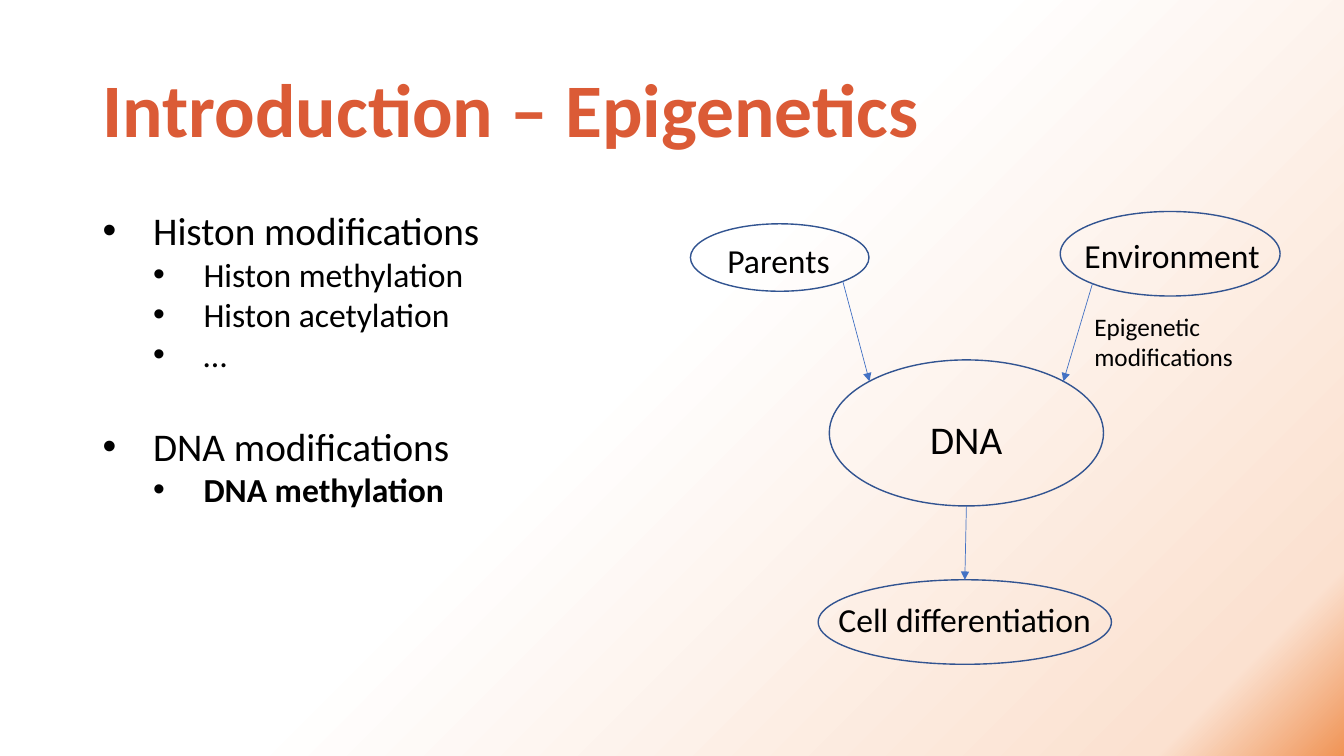
from typing import NamedTuple
from math import cos, pi, sin

from lxml import etree
from pptx import Presentation
from pptx.dml.color import RGBColor
from pptx.enum.shapes import MSO_CONNECTOR, MSO_SHAPE
from pptx.enum.text import MSO_ANCHOR, PP_ALIGN
from pptx.oxml import parse_xml
from pptx.oxml.ns import nsdecls, qn
from pptx.util import Cm, Pt

OVAL = MSO_SHAPE.OVAL
STRAIGHT = MSO_CONNECTOR.STRAIGHT
TOP, MIDDLE = MSO_ANCHOR.TOP, MSO_ANCHOR.MIDDLE
LEFT, CENTER = PP_ALIGN.LEFT, PP_ALIGN.CENTER

BLACK = RGBColor(0x00, 0x00, 0x00)
RUST = RGBColor(0xDB, 0x5B, 0x36)
NAVY = RGBColor(0x32, 0x54, 0x91)
BLUE = RGBColor(0x44, 0x72, 0xC4)
WHITE = RGBColor(0xFF, 0xFF, 0xFF)
PEACH = RGBColor(0xFB, 0xE1, 0xD0)
ORANGE = RGBColor(0xF0, 0x94, 0x56)

FONT = "Calibri"
INDENT = 1.27


class Box(NamedTuple):
    x: float
    y: float
    w: float
    h: float


class Stop(NamedTuple):
    pos: int
    color: RGBColor
    alpha: int = 100


class Item(NamedTuple):
    text: str
    level: int = 0
    bold: bool = False
    before: int = 0


class Node(NamedTuple):
    name: str
    oval: Box
    label: Box
    size: int = 24
    align: PP_ALIGN = LEFT
    anchor: MSO_ANCHOR = TOP
    wrap: bool = True
    lines: float = 1.0


class Link(NamedTuple):
    start: str
    exit: int
    end: str
    entry: int


STOPS = [Stop(34, WHITE), Stop(47, WHITE, 21), Stop(91, PEACH), Stop(100, ORANGE)]

ITEMS = [
    Item("Histon modifications"),
    Item("Histon methylation", 1),
    Item("Histon acetylation", 1),
    Item("…", 1),
    Item("DNA modifications", before=34),
    Item("DNA methylation", 1, bold=True),
]

NODES = [
    Node("Parents", Box(17.4, 5.64, 4.5, 1.7), Box(18.08, 5.92, 3.35, 1.27)),
    Node("Environment", Box(26.72, 5.33, 5.54, 2.13),
         Box(27.08, 5.79, 4.98, 1.27), wrap=False),
    Node("DNA", Box(20.9, 9.07, 6.91, 3.68), Box(17.15, 5.08, 14.4, 12.09),
         size=28, align=CENTER, anchor=MIDDLE, lines=0.9),
    Node("Cell differentiation", Box(20.62, 14.61, 7.39, 2.13),
         Box(20.88, 14.96, 7.14, 1.27)),
]

# Oval sites run counter-clockwise from the top in steps of 45 degrees
LINKS = [
    Link("Parents", 5, "DNA", 1),
    Link("Environment", 3, "DNA", 7),
    Link("DNA", 4, "Cell differentiation", 0),
]


def add_back(slide) -> None:
    stops = "".join(
        f'<a:gs pos="{s.pos * 1000}"><a:srgbClr val="{s.color}">'
        f'<a:alpha val="{s.alpha * 1000}"/></a:srgbClr></a:gs>'
        for s in STOPS
    )
    back = parse_xml(
        f'<p:bg {nsdecls("p", "a")}><p:bgPr><a:gradFill rotWithShape="1">'
        f'<a:gsLst>{stops}</a:gsLst><a:path path="circle">'
        '<a:fillToRect r="100000" b="100000"/></a:path></a:gradFill>'
        '<a:effectLst/></p:bgPr></p:bg>'
    )
    slide.element.cSld.insert(0, back)


def add_frame(slide, box: Box, anchor: MSO_ANCHOR = TOP, wrap: bool = True):
    frame = slide.shapes.add_textbox(*map(Cm, box)).text_frame
    frame.word_wrap = wrap
    frame.vertical_anchor = anchor
    return frame


def put_text(par, text: str, *, size: int, color: RGBColor = BLACK,
             bold: bool = False, align: PP_ALIGN = LEFT,
             lines: float = 1.0) -> None:
    par.alignment = align
    par.line_spacing = lines
    run = par.add_run()
    run.text = text
    font = run.font
    font.name, font.size, font.bold = FONT, Pt(size), bold
    font.color.rgb = color


def add_list(slide, box: Box) -> None:
    frame = add_frame(slide, box)
    for i, item in enumerate(ITEMS):
        par = frame.add_paragraph() if i else frame.paragraphs[0]
        par.level = item.level
        props = par._p.get_or_add_pPr()
        props.set("marL", str(Cm(INDENT * (item.level + 1))))
        props.set("indent", str(-Cm(INDENT)))
        etree.SubElement(props, qn("a:buFont")).set("typeface", "Arial")
        etree.SubElement(props, qn("a:buChar")).set("char", "•")
        if item.before:
            par.space_before = Pt(item.before)
        put_text(par, item.text, size=24 if item.level else 28, bold=item.bold)


def add_node(slide, node: Node):
    oval = slide.shapes.add_shape(OVAL, *map(Cm, node.oval))
    oval.shadow.inherit = False
    oval.fill.background()
    oval.line.color.rgb = NAVY
    oval.line.width = Pt(1)
    frame = add_frame(slide, node.label, node.anchor, node.wrap)
    put_text(frame.paragraphs[0], node.name, size=node.size,
             align=node.align, lines=node.lines)
    return oval


def site(oval, index: int) -> tuple[int, int]:
    turn = index * pi / 4
    x = oval.left + oval.width / 2 * (1 - sin(turn))
    y = oval.top + oval.height / 2 * (1 - cos(turn))
    return round(x), round(y)


def add_link(slide, link: Link, ovals: dict) -> None:
    start, end = ovals[link.start], ovals[link.end]
    line = slide.shapes.add_connector(
        STRAIGHT, *site(start, link.exit), *site(end, link.entry))
    line.line.color.rgb = BLUE
    line.line.width = Pt(0.5)
    tail = etree.SubElement(line.line._get_or_add_ln(), qn("a:tailEnd"))
    tail.set("type", "triangle")
    etree.SubElement(line.element.spPr, qn("a:effectLst"))
    # Join both ends to the oval sites
    joint = line.element.nvCxnSpPr.cNvCxnSpPr
    for part, oval, index in (
        (joint.get_or_add_stCxn(), start, link.exit),
        (joint.get_or_add_endCxn(), end, link.entry),
    ):
        part.id, part.idx = oval.shape_id, index


def main() -> None:
    deck = Presentation()
    deck.slide_width, deck.slide_height = Cm(33.87), Cm(19.05)
    slide = deck.slides.add_slide(deck.slide_layouts[6])
    add_back(slide)

    # Title and bullet list
    title = add_frame(slide, Box(2.34, 1.02, 29.21, 3.68), MIDDLE)
    put_text(title.paragraphs[0], "Introduction – Epigenetics",
             size=54, color=RUST, bold=True, lines=0.9)
    add_list(slide, Box(2.34, 5.08, 14.6, 7.95))

    # Diagram
    ovals = {node.name: add_node(slide, node) for node in NODES}
    for link in LINKS:
        add_link(slide, link, ovals)
    note = add_frame(slide, Box(27.33, 7.72, 4.47, 1.8))
    put_text(note.paragraphs[0], "Epigenetic modifications", size=18)

    deck.save("out.pptx")


if __name__ == "__main__":
    main()
